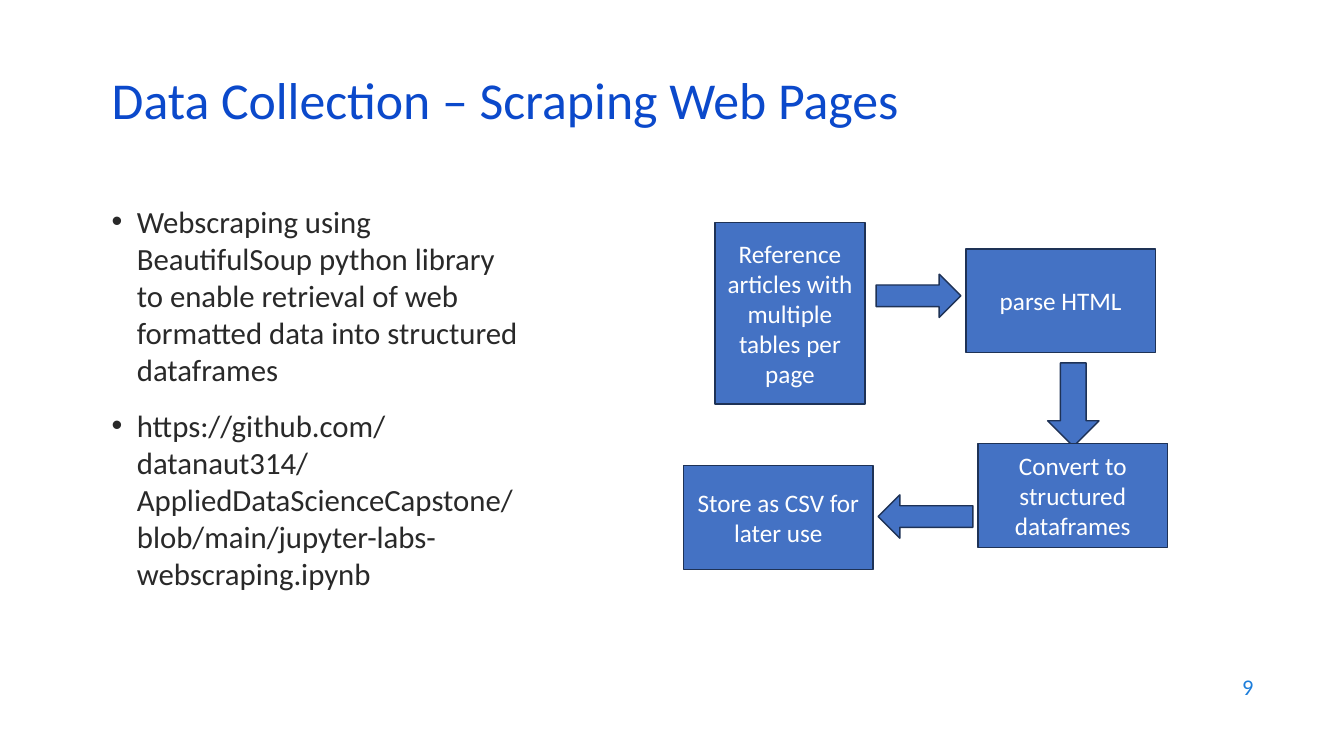
from dataclasses import dataclass

from lxml import etree
from pptx import Presentation
from pptx.dml.color import RGBColor
from pptx.enum.shapes import MSO_SHAPE
from pptx.enum.text import MSO_ANCHOR, PP_ALIGN
from pptx.oxml.ns import qn
from pptx.slide import Slide
from pptx.text.text import TextFrame
from pptx.util import Inches, Pt

RECTANGLE = MSO_SHAPE.RECTANGLE
PROCESS = MSO_SHAPE.FLOWCHART_PROCESS
RIGHT_ARROW = MSO_SHAPE.RIGHT_ARROW
DOWN_ARROW = MSO_SHAPE.DOWN_ARROW
LEFT_ARROW = MSO_SHAPE.LEFT_ARROW
TOP, MIDDLE = MSO_ANCHOR.TOP, MSO_ANCHOR.MIDDLE
LEFT, CENTER, RIGHT = PP_ALIGN.LEFT, PP_ALIGN.CENTER, PP_ALIGN.RIGHT

TITLE_BLUE = RGBColor(0x0B, 0x49, 0xCB)
NUMBER_BLUE = RGBColor(0x1C, 0x7D, 0xDB)
BODY_GRAY = RGBColor(0x29, 0x29, 0x29)
STEP_FILL = RGBColor(0x44, 0x72, 0xC4)
STEP_LINE = RGBColor(0x1E, 0x32, 0x56)
WHITE = RGBColor(0xFF, 0xFF, 0xFF)

FONT = "Calibri"
STEP_WIDTH, STEP_HEIGHT = 1.88, 1.03
BULLET_INDENT = Inches(0.25)


@dataclass(frozen=True)
class TextStyle:
    size: float
    color: RGBColor
    alignment: PP_ALIGN = LEFT
    anchor: MSO_ANCHOR = MIDDLE
    line_spacing: float = 1.0
    space_between: float = 0
    bulleted: bool = False


@dataclass(frozen=True)
class TextBlock:
    left: float
    top: float
    width: float
    height: float
    style: TextStyle
    lines: tuple[str, ...]


@dataclass(frozen=True)
class FlowItem:
    kind: MSO_SHAPE
    left: float
    top: float
    width: float = STEP_WIDTH
    height: float = STEP_HEIGHT
    label: str = ""


STEP_STYLE = TextStyle(18, WHITE, CENTER)

TEXT_BLOCKS = (
    TextBlock(9.53, 6.59, 3, 0.44, TextStyle(16, NUMBER_BLUE, RIGHT), ("9",)),
    TextBlock(
        1.01, 1.96, 4.3, 4.17,
        TextStyle(22, BODY_GRAY, anchor=TOP, space_between=14, bulleted=True),
        (
            "Webscraping using BeautifulSoup python library to enable "
            "retrieval of web formatted data into structured dataframes",
            "https://github.com/datanaut314/AppliedDataScienceCapstone/"
            "blob/main/jupyter-labs-webscraping.ipynb",
        ),
    ),
    TextBlock(
        1.01, 0.76, 11.5, 0.6,
        TextStyle(37, TITLE_BLUE, line_spacing=0.7),
        ("Data Collection – Scraping Web Pages",),
    ),
)

FLOW_ITEMS = (
    FlowItem(RECTANGLE, 7.09, 2.21, 1.49, 1.8,
             "Reference articles with multiple tables per page"),
    FlowItem(RIGHT_ARROW, 8.69, 2.72, 0.84, 0.43),
    FlowItem(PROCESS, 9.58, 2.47, label="parse HTML"),
    FlowItem(DOWN_ARROW, 10.39, 3.6, 0.51, 0.83),
    FlowItem(PROCESS, 9.7, 4.4, label="Convert to structured dataframes"),
    FlowItem(LEFT_ARROW, 8.71, 4.91, 0.94, 0.43),
    FlowItem(PROCESS, 6.78, 4.62, label="Store as CSV for later use"),
)


def write_text(frame: TextFrame, lines: tuple[str, ...], style: TextStyle) -> None:
    frame.word_wrap = True
    frame.vertical_anchor = style.anchor
    for index, line in enumerate(lines):
        paragraph = frame.paragraphs[0] if index == 0 else frame.add_paragraph()
        paragraph.text = line
        paragraph_format = {
            "alignment": style.alignment,
            "line_spacing": style.line_spacing,
            "space_before": Pt(style.space_between if index else 0),
        }
        for name, value in paragraph_format.items():
            setattr(paragraph, name, value)
        if style.bulleted:
            properties = paragraph._p.get_or_add_pPr()
            properties.set("marL", str(BULLET_INDENT))
            properties.set("indent", str(-BULLET_INDENT))
            etree.SubElement(properties, qn("a:buFont"), typeface="Arial")
            etree.SubElement(properties, qn("a:buChar"), char="•")
        font = paragraph.runs[0].font
        for name, value in {"name": FONT, "size": Pt(style.size)}.items():
            setattr(font, name, value)
        font.color.rgb = style.color


def add_text_block(slide: Slide, block: TextBlock) -> None:
    text_box = slide.shapes.add_textbox(
        Inches(block.left), Inches(block.top),
        Inches(block.width), Inches(block.height),
    )
    write_text(text_box.text_frame, block.lines, block.style)


def add_flow_item(slide: Slide, item: FlowItem) -> None:
    shape = slide.shapes.add_shape(
        item.kind, Inches(item.left), Inches(item.top),
        Inches(item.width), Inches(item.height),
    )
    shape.shadow.inherit = False
    shape.fill.solid()
    shape.fill.fore_color.rgb = STEP_FILL
    shape.line.color.rgb = STEP_LINE
    shape.line.width = Pt(1)
    if item.label:
        write_text(shape.text_frame, (item.label,), STEP_STYLE)


def main() -> None:
    presentation = Presentation()
    presentation.slide_width = Inches(13.33)
    presentation.slide_height = Inches(7.5)
    slide = presentation.slides.add_slide(presentation.slide_layouts[6])
    for block in TEXT_BLOCKS:
        add_text_block(slide, block)
    for item in FLOW_ITEMS:
        add_flow_item(slide, item)
    presentation.save("out.pptx")


if __name__ == "__main__":
    main()
